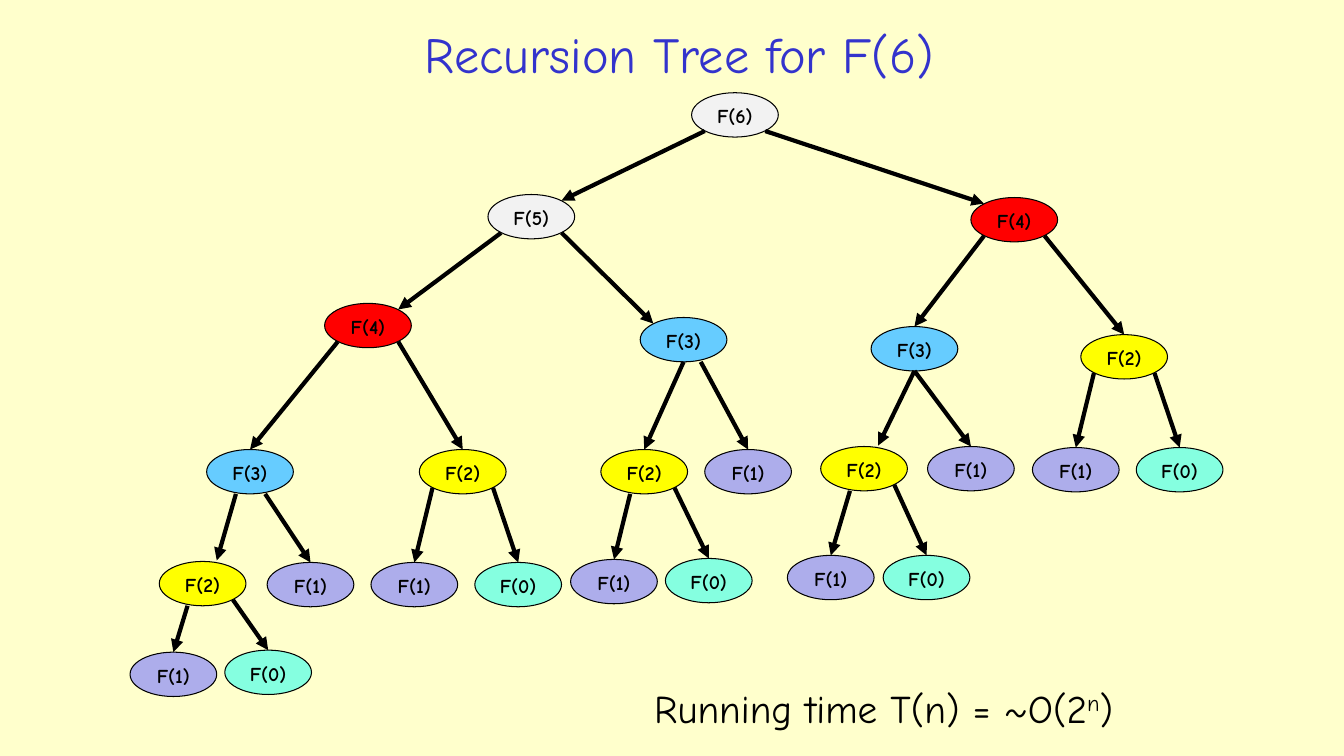
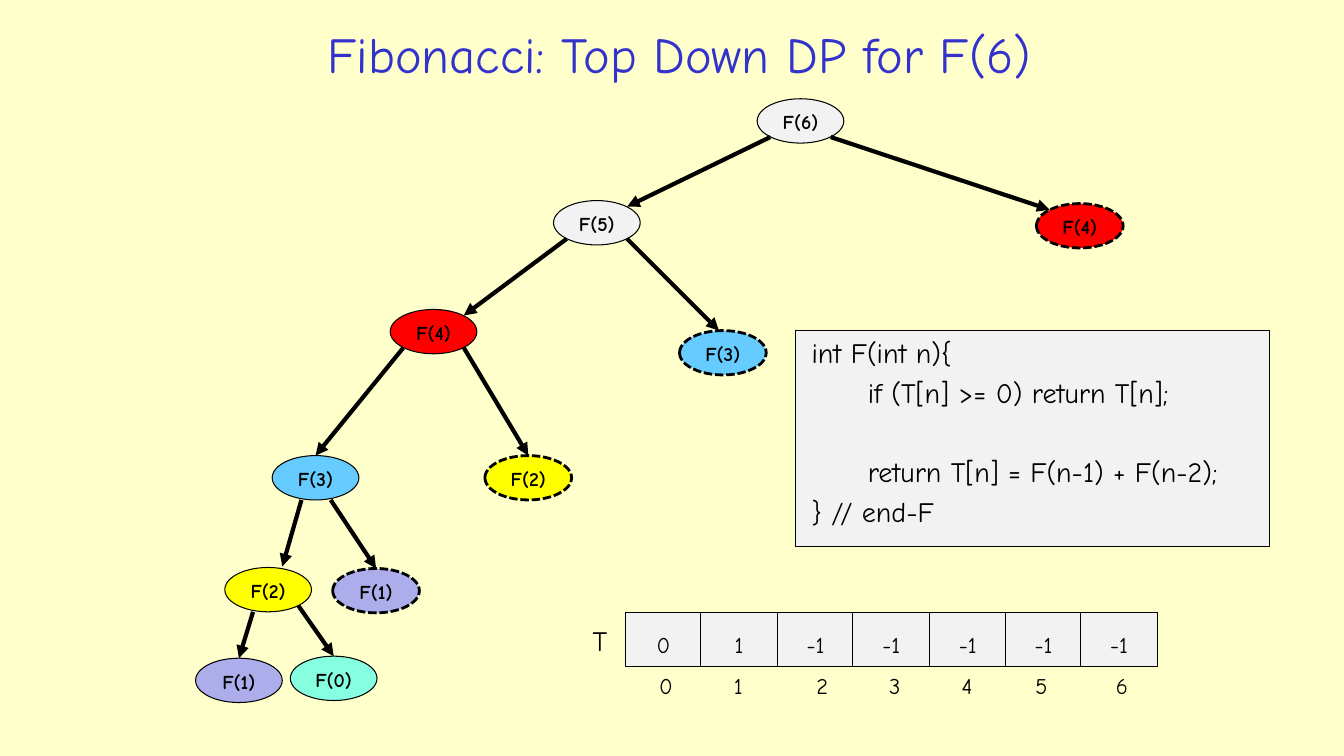
from dataclasses import dataclass

from lxml import etree
from pptx import Presentation
from pptx import util as u
from pptx.dml.color import RGBColor
from pptx.enum import dml, shapes, text
from pptx.oxml.ns import qn

PX = 9144  # EMU in one px, 100 px to the inch


@dataclass(frozen=True)
class Theme:
    font: str = "Comic Neue"
    page: str = "FFFFCC"
    title: str = "3333CC"
    ink: str = "000000"
    panel: str = "F2F2F2"
    # fill of the node F(n), by n
    nodes: tuple = ("85FFE0", "ADADEB", "FFFF00", "66CCFF", "FF0000", "F2F2F2", "F2F2F2")
    title_size: int = 36
    note_size: int = 28
    code_size: int = 20
    cell_size: int = 16
    node_size: int = 14
    thin: float = 0.75
    dashed: float = 2
    arrow: float = 3


THEME = Theme()
TITLE_BOX = (197, 15, 954, 76)
NODE_W, NODE_H = 86, 44
CORNER = (30, 16)  # diagonal point of a node's outline, from its centre

# Key: turns taken from the root. L is the call F(n-1), R is the call F(n-2).
TREE = {
    "": (557, 0),
    "L": (355, 101), "R": (834, 104),
    "LL": (193, 209), "LR": (506, 223), "RL": (735, 232), "RR": (943, 240),
    "LLL": (76, 354), "LLR": (287, 354), "LRL": (467, 354), "LRR": (570, 354),
    "RLL": (685, 351), "RLR": (791, 351), "RRL": (895, 352), "RRR": (998, 352),
    "LLLL": (29, 465), "LLLR": (136, 466), "LLRL": (239, 466), "LLRR": (342, 466),
    "LRLL": (437, 463), "LRLR": (531, 462), "RLLL": (652, 459), "RLLR": (747, 459),
    "LLLLL": (0, 555), "LLLLR": (94, 553),
}
# Arrows that leave from the underside of the parent: sideways distance from its centre
UNDERSIDE = {"LLLL": 14, "LLLR": 15, "LLLLL": 15, "LRL": 0, "LRR": 17,
             "LRLL": 14, "RLLL": 14, "RLL": 0, "RLR": 0}
# Arrows that do not arrive at the top middle: point seen from the child's centre,
# with the sideways part towards the parent
ARRIVAL = {**dict.fromkeys(("L", "R", "LL", "LR"), CORNER),
           **dict.fromkeys(("LLLL", "RLL"), (14, 23))}


def px(*lengths):
    return [u.Emu(round(length * PX)) for length in lengths]


def rgb(colour):
    return RGBColor.from_string(colour)


def add_span(para, words, size, colour=THEME.ink, bold=False):
    span = para.add_run()
    span.text = words
    span.font.name = THEME.font
    span.font.size = u.Pt(size)
    span.font.bold = bold
    span.font.color.rgb = rgb(colour)
    return span


def add_text(page, box, anchor=text.MSO_ANCHOR.TOP, wrap=False):
    """Add an empty text box and return its first paragraph."""
    frame = page.shapes.add_textbox(*px(*box)).text_frame
    frame.word_wrap = wrap
    frame.vertical_anchor = anchor
    return frame.paragraphs[0]


def add_panel(page, kind, box, fill):
    panel = page.shapes.add_shape(kind, *px(*box))
    panel.shadow.inherit = False
    panel.fill.solid()
    panel.fill.fore_color.rgb = rgb(fill)
    panel.line.color.rgb = rgb(THEME.ink)
    panel.line.width = u.Pt(THEME.thin)
    panel.text_frame.word_wrap = True
    panel.text_frame.vertical_anchor = text.MSO_ANCHOR.TOP
    return panel


def add_arrow(page, start, end):
    arrow = page.shapes.add_connector(shapes.MSO_CONNECTOR.STRAIGHT, *px(*start, *end))
    arrow.line.color.rgb = rgb(THEME.ink)
    arrow.line.width = u.Pt(THEME.arrow)
    etree.SubElement(arrow.line._get_or_add_ln(), qn("a:tailEnd"), type="triangle")
    etree.SubElement(arrow._element.spPr, qn("a:effectLst"))
    return arrow


def add_page(deck, title):
    page = deck.slides.add_slide(deck.slide_layouts[6])
    page.background.fill.solid()
    page.background.fill.fore_color.rgb = rgb(THEME.page)
    para = add_text(page, TITLE_BOX, text.MSO_ANCHOR.MIDDLE, wrap=True)
    para.alignment = text.PP_ALIGN.CENTER
    add_span(para, title, THEME.title_size, THEME.title)
    return page


def add_node(page, box, n, reused):
    node = add_panel(page, shapes.MSO_SHAPE.OVAL, box, THEME.nodes[n])
    if reused:
        node.line.width = u.Pt(THEME.dashed)
        node.line.dash_style = dml.MSO_LINE.SQUARE_DOT
    para = node.text_frame.paragraphs[0]
    para.alignment = text.PP_ALIGN.CENTER
    add_span(para, f"F({n})", THEME.node_size, bold=True)
    return node


def add_tree(page, left, top, places, arrivals, reused=()):
    """Draw the calls of F(6); a reused call is dashed and makes no further calls."""
    kept = [key for key in places
            if not any(key != stop and key.startswith(stop) for stop in reused)]
    nodes, centres = {}, {}
    for key in kept:
        x, y = left + places[key][0], top + places[key][1]
        n = 6 - key.count("L") - 2 * key.count("R")
        nodes[key] = add_node(page, (x, y, NODE_W, NODE_H), n, key in reused)
        centres[key] = (x + NODE_W // 2, y + NODE_H // 2)

    for key in kept[1:]:
        side = -1 if key.endswith("L") else 1
        (from_x, from_y), (to_x, to_y) = centres[key[:-1]], centres[key]
        out_x, out_y = (UNDERSIDE[key], NODE_H // 2) if key in UNDERSIDE else CORNER
        in_x, in_y = arrivals.get(key, (0, NODE_H // 2))
        arrow = add_arrow(page, (from_x + side * out_x, from_y + out_y),
                          (to_x - side * in_x, to_y - in_y))
        if key not in arrivals:
            arrow.end_connect(nodes[key], 0)


def add_running_time(page, box):
    para = add_text(page, box)
    add_span(para, "Running time T(n) = ~O(2", THEME.note_size)
    power = add_span(para, "n", THEME.note_size)
    power.font._element.set("baseline", "30000")
    add_span(para, ")", THEME.note_size)


def add_code(page, box):
    frame = add_panel(page, shapes.MSO_SHAPE.RECTANGLE, box, THEME.panel).text_frame
    frame.margin_left = px(16)[0]
    lines = (
        ("int F(int n){", 0),
        ("      if (T[n] >= 0) return T[n];", 4.6),
        ("      return T[n] = F(n-1) + F(n-2);", 32.4),
        ("} // end-F", 4.6),
    )
    for index, (words, before) in enumerate(lines):
        para = frame.add_paragraph() if index else frame.paragraphs[0]
        para.alignment = text.PP_ALIGN.LEFT
        para.space_before = u.Pt(before)
        add_span(para, words, THEME.code_size)


def add_memo_array(page, left, top):
    """Draw the array T with its cells and the indices below them."""
    add_span(add_text(page, (left, top + 6, 39, 44)), "T", THEME.code_size)
    values = ("0", "1", "-1", "-1", "-1", "-1", "-1")
    label_lefts = (66, 140, 222, 294, 366, 439, 519)
    for index, (value, label_left) in enumerate(zip(values, label_lefts)):
        box = (left + 42 + round(index * 75.4), top, 76, 53)
        cell = add_panel(page, shapes.MSO_SHAPE.RECTANGLE, box, THEME.panel)
        para = cell.text_frame.paragraphs[0]
        para.alignment = text.PP_ALIGN.CENTER
        para.line_spacing = 1.5
        add_span(para, value, THEME.cell_size)
        label = add_text(page, (left + label_left, top + 54, 34, 37))
        add_span(label, str(index), THEME.cell_size)


def build_recursion_page(deck):
    page = add_page(deck, "Recursion Tree for F(6)")
    add_tree(page, 129, 92, TREE, ARRIVAL)
    add_running_time(page, (639, 674, 505, 57))


def build_top_down_page(deck):
    page = add_page(deck, "Fibonacci: Top Down DP for F(6)")
    add_tree(page, 194, 98, {**TREE, "LR": (480, 230)}, {**ARRIVAL, "LR": (4, 22)},
             reused=("R", "LR", "LLR", "LLLR"))
    add_code(page, (789, 328, 470, 214))
    add_memo_array(page, 578, 608)


def main():
    deck = Presentation()
    deck.slide_width, deck.slide_height = px(1333, 750)
    build_recursion_page(deck)
    build_top_down_page(deck)
    deck.save("out.pptx")


if __name__ == "__main__":
    main()
